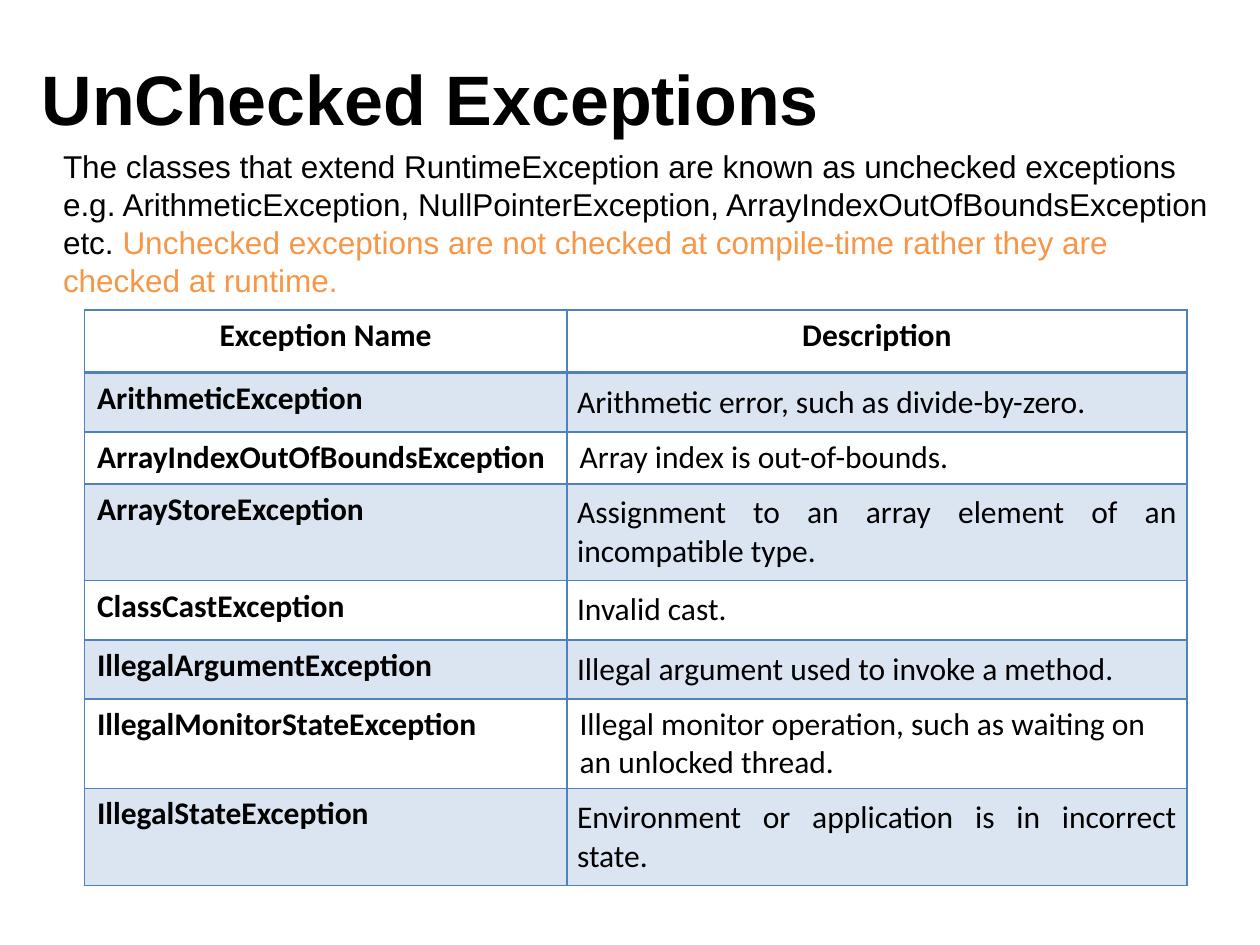
from lxml import etree
from pptx import Presentation
from pptx.dml.color import RGBColor
from pptx.enum.text import MSO_ANCHOR, MSO_AUTO_SIZE, PP_ALIGN
from pptx.oxml.ns import qn
from pptx.util import Inches, Pt

LEFT, CENTER, JUSTIFY = PP_ALIGN.LEFT, PP_ALIGN.CENTER, PP_ALIGN.JUSTIFY
TOP = MSO_ANCHOR.TOP
GROW = MSO_AUTO_SIZE.SHAPE_TO_FIT_TEXT
TITLE_ONLY = 5

BLACK, ORANGE, BLUE = "000000", "F79646", "4F81BD"
HEADING_FONT, TABLE_FONT = "Arial", "Calibri"

INTRO = (
    "The classes that extend RuntimeException are known as unchecked exceptions "
    "e.g. ArithmeticException, NullPointerException, "
    "ArrayIndexOutOfBoundsException etc. "
)
KEY_POINT = (
    "Unchecked exceptions are not checked at compile-time rather they are "
    "checked at runtime."
)

# Exception name, description, row height, whether the description is justified
EXCEPTIONS = [
    ("ArithmeticException", "Arithmetic error, such as divide-by-zero.", 0.47, True),
    ("ArrayIndexOutOfBoundsException", "Array index is out-of-bounds.", 0.41, False),
    ("ArrayStoreException",
     "Assignment to an array element of an incompatible type.", 0.77, True),
    ("ClassCastException", "Invalid cast.", 0.47, True),
    ("IllegalArgumentException", "Illegal argument used to invoke a method.", 0.47, True),
    ("IllegalMonitorStateException",
     "Illegal monitor operation, such as waiting on an unlocked thread.", 0.71, False),
    ("IllegalStateException",
     "Environment or application is in incorrect state.", 0.77, True),
]
HEADER_HEIGHT = 0.5
COLUMN_WIDTHS = (3.83, 4.92)


def rgb(hex_color):
    return RGBColor.from_string(hex_color)


def add_text(paragraph, text, *, font=HEADING_FONT, size=18, color=BLACK,
             bold=False, align=LEFT):
    paragraph.alignment = align
    run = paragraph.add_run()
    run.text = text
    run.font.name = font
    run.font.size = Pt(size)
    run.font.bold = bold
    run.font.color.rgb = rgb(color)


def add_border(cell, side, color, width):
    """Draw one side of a cell: side is L, R, T or B, width is in points."""
    line = etree.SubElement(cell._tc.get_or_add_tcPr(), qn(f"a:ln{side}"), w=str(Pt(width)))
    fill = etree.SubElement(line, qn("a:solidFill"))
    etree.SubElement(fill, qn("a:srgbClr"), val=color)


def tint_cell(cell, color, opacity):
    cell.fill.solid()
    cell.fill.fore_color.rgb = rgb(color)
    color_element = cell._tc.tcPr.find(qn("a:solidFill")).find(qn("a:srgbClr"))
    etree.SubElement(color_element, qn("a:alpha"), val=str(opacity * 1000))


class SlideBuilder:
    def __init__(self, presentation):
        self.slide = presentation.slides.add_slide(presentation.slide_layouts[TITLE_ONLY])

    def prepare_frame(self, frame):
        frame.word_wrap = True
        frame.auto_size = GROW
        frame.vertical_anchor = TOP
        frame.margin_left = frame.margin_right = 0
        frame.margin_top = frame.margin_bottom = 0
        return frame.paragraphs[0]

    def title(self, text, left, top, width, height):
        heading = self.slide.shapes.title
        heading.left, heading.top = Inches(left), Inches(top)
        heading.width, heading.height = Inches(width), Inches(height)
        add_text(self.prepare_frame(heading.text_frame), text, size=40, bold=True)

    def paragraph(self, parts, left, top, width, height):
        """Add one paragraph made of (text, colour) parts."""
        box = self.slide.shapes.add_textbox(
            Inches(left), Inches(top), Inches(width), Inches(height))
        paragraph = self.prepare_frame(box.text_frame)
        for text, color in parts:
            add_text(paragraph, text, color=color)

    def cell(self, cell, text, *, bold, align=LEFT, bottom_width=1, tinted=False):
        add_text(cell.text_frame.paragraphs[0], text, font=TABLE_FONT, bold=bold, align=align)
        if align == JUSTIFY:
            cell.margin_left = cell.margin_right = Inches(0.08)
            cell.margin_top = cell.margin_bottom = Inches(0.08)
        for side in "LRT":
            add_border(cell, side, BLUE, 1)
        add_border(cell, "B", BLUE, bottom_width)
        if tinted:
            tint_cell(cell, BLUE, 20)
        else:
            cell.fill.background()

    def exception_table(self, left, top):
        heights = [HEADER_HEIGHT] + [row[2] for row in EXCEPTIONS]
        table = self.slide.shapes.add_table(
            len(heights), len(COLUMN_WIDTHS), Inches(left), Inches(top),
            Inches(sum(COLUMN_WIDTHS)), Inches(sum(heights))).table
        for column, width in zip(table.columns, COLUMN_WIDTHS):
            column.width = Inches(width)
        for row, height in zip(table.rows, heights):
            row.height = Inches(height)

        for column, heading in enumerate(("Exception Name", "Description")):
            self.cell(table.cell(0, column), heading, bold=True, align=CENTER, bottom_width=2)
        for row, (name, description, _, justified) in enumerate(EXCEPTIONS, start=1):
            tinted = row % 2 == 1
            self.cell(table.cell(row, 0), name, bold=True, tinted=tinted)
            self.cell(table.cell(row, 1), description, bold=False, tinted=tinted,
                      align=JUSTIFY if justified else LEFT)


def main():
    presentation = Presentation()
    presentation.slide_width, presentation.slide_height = Inches(10), Inches(7.5)
    builder = SlideBuilder(presentation)
    builder.title("UnChecked Exceptions", 0.33, 0.44, 9.34, 0.67)
    builder.paragraph([(INTRO, BLACK), (KEY_POINT, ORANGE)], 0.5, 1.17, 9.11, 1.21)
    builder.exception_table(0.67, 2.46)
    presentation.save("out.pptx")


if __name__ == "__main__":
    main()
